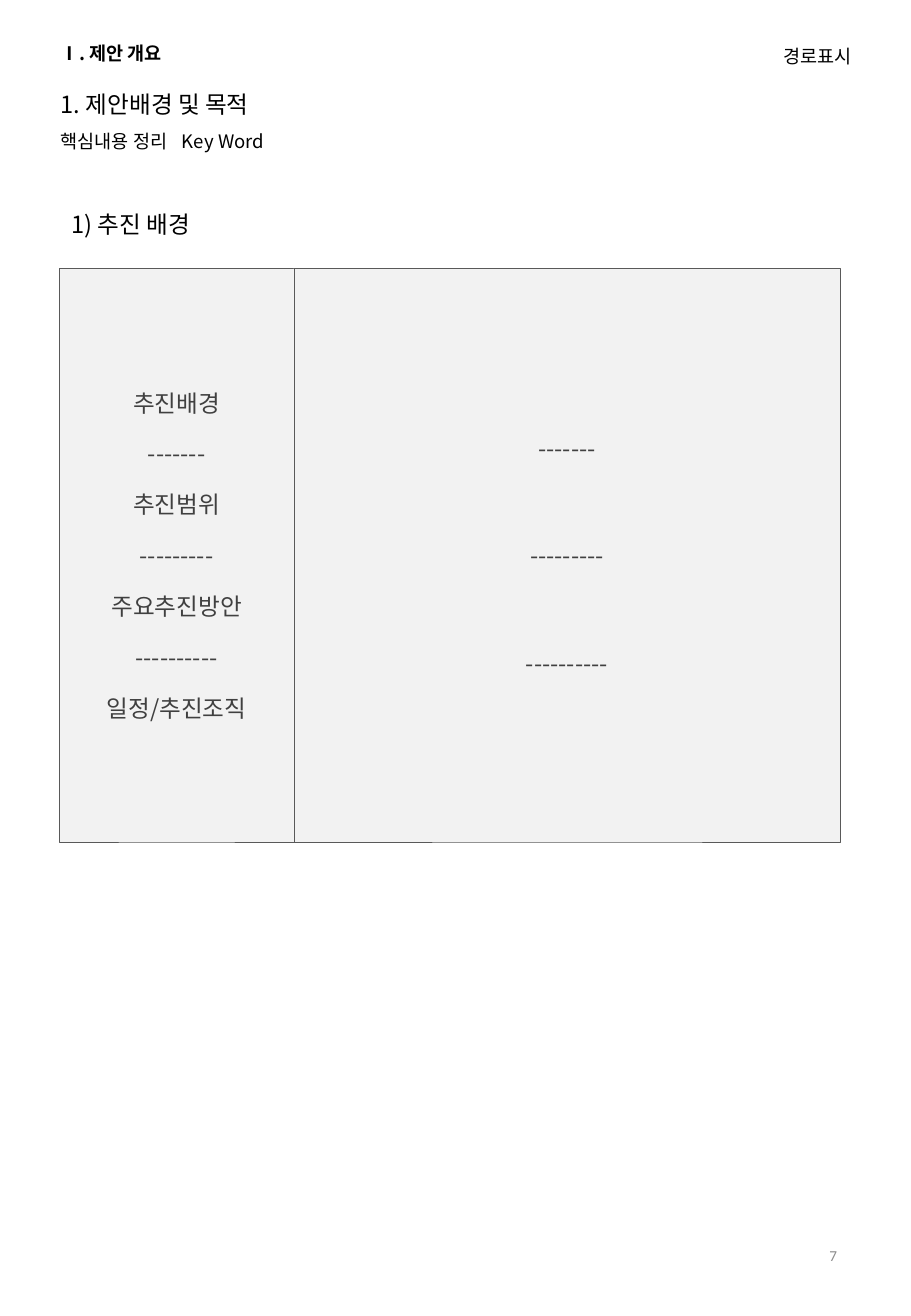
from lxml.etree import SubElement
from pptx import Presentation
from pptx.dml.color import RGBColor
from pptx.enum.shapes import MSO_SHAPE as Shape
from pptx.enum.text import MSO_ANCHOR as Anchor, MSO_AUTO_SIZE as AutoSize, PP_ALIGN as Align
from pptx.oxml.ns import qn
from pptx.util import Inches, Pt

KOREAN = "Noto Sans CJK KR"
JAPANESE = "Noto Sans CJK JP"
BLACK, INK, PALE, EDGE, GREY = "000000", "404040", "F2F2F2", "595959", "8C8C8C"

HEADING = {"size": Pt(14), "name": KOREAN}
SMALL = {"size": Pt(11), "name": KOREAN}
CHAPTER = {"size": Pt(11), "name": JAPANESE, "bold": True}
PAGE_NUMBER = {"size": Pt(9), "name": "Calibri"}

LINE_HEIGHT = 20.3  # points, for one line of 14 point Korean text
TOPIC_STEP = 33.65  # points, from one topic line to the next

TOPICS = ["추진배경", "-------", "추진범위", "---------",
          "주요추진방안", "----------", "일정/추진조직"]


def colour(value):
    return RGBColor.from_string(value)


class ProposalPage:
    """Holds the slide; every box is left, top, width, height in percent of it."""

    def __init__(self, presentation):
        self.width = presentation.slide_width
        self.height = presentation.slide_height
        self.slide = presentation.slides.add_slide(presentation.slide_layouts[5])

    def place(self, box):
        sizes = (self.width, self.height) * 2
        return [int(size * share / 100) for size, share in zip(sizes, box)]

    def add_text(self, paragraph, text, style, ink=BLACK, align=Align.LEFT):
        paragraph.alignment = align
        run = paragraph.add_run()
        run.text = text
        for attribute, value in style.items():
            setattr(run.font, attribute, value)
        run.font.color.rgb = colour(ink)
        east_asian = SubElement(run.font._element, qn("a:ea"))
        east_asian.set("typeface", style["name"])

    def title(self, text, box, style):
        shape = self.slide.shapes.title
        shape.left, shape.top, shape.width, shape.height = self.place(box)
        frame = shape.text_frame
        frame.auto_size = AutoSize.SHAPE_TO_FIT_TEXT
        frame.vertical_anchor = Anchor.TOP
        self.add_text(frame.paragraphs[0], text, style)

    def label(self, text, box, style, ink=BLACK, align=Align.LEFT,
              anchor=Anchor.TOP, fit=AutoSize.SHAPE_TO_FIT_TEXT):
        frame = self.slide.shapes.add_textbox(*self.place(box)).text_frame
        frame.word_wrap = True
        frame.auto_size = fit
        frame.vertical_anchor = anchor
        self.add_text(frame.paragraphs[0], text, style, ink, align)
        return frame.paragraphs[0]

    def panel(self, lines, box, step):
        """Draws a bordered panel whose centred lines lie step points apart."""
        shape = self.slide.shapes.add_shape(Shape.RECTANGLE, *self.place(box))
        shape.shadow.inherit = False
        shape.fill.solid()
        shape.fill.fore_color.rgb = colour(PALE)
        shape.line.color.rgb = colour(EDGE)
        shape.line.width = Pt(0.25)
        frame = shape.text_frame
        frame.word_wrap = True
        frame.vertical_anchor = Anchor.MIDDLE
        for index, text in enumerate(lines):
            paragraph = frame.add_paragraph() if index else frame.paragraphs[0]
            if index:
                paragraph.space_before = Pt(step - LINE_HEIGHT)
            self.add_text(paragraph, text, HEADING, INK, Align.CENTER)


def add_tab_stop(paragraph, position):
    properties = paragraph._p.get_or_add_pPr()
    stops = SubElement(properties, qn("a:tabLst"))
    SubElement(stops, qn("a:tab"), pos=str(position), algn="l")


def main():
    presentation = Presentation()
    presentation.slide_width = Inches(7.5)
    presentation.slide_height = Inches(10.83)
    page = ProposalPage(presentation)

    page.label("경로표시", (72.67, 2.95, 22.13, 2.68), SMALL, align=Align.RIGHT)
    page.label("Ⅰ. 제안 개요", (5.33, 2.77, 45.6, 2.68), CHAPTER)
    page.title("1. 제안배경 및 목적", (5.33, 6.37, 88.4, 3.14), HEADING)
    summary = page.label("핵심내용 정리\tKey Word", (5.33, 9.42, 88.4, 2.68), SMALL)
    add_tab_stop(summary, Inches(1))

    left, width = 6.53, 85.73
    page.label("1) 추진 배경", (left, 15.51, width, 3.14), HEADING)
    top, height = 20.41, 43.58
    split = width * 0.3
    page.panel(TOPICS, (left, top, split, height), TOPIC_STEP)
    page.panel(TOPICS[1::2], (left + split, top, width - split, height), TOPIC_STEP * 2)

    page.label("7", (70.67, 92.71, 22.53, 5.36), PAGE_NUMBER, GREY,
               Align.RIGHT, Anchor.MIDDLE, AutoSize.NONE)
    presentation.save("out.pptx")


if __name__ == "__main__":
    main()
